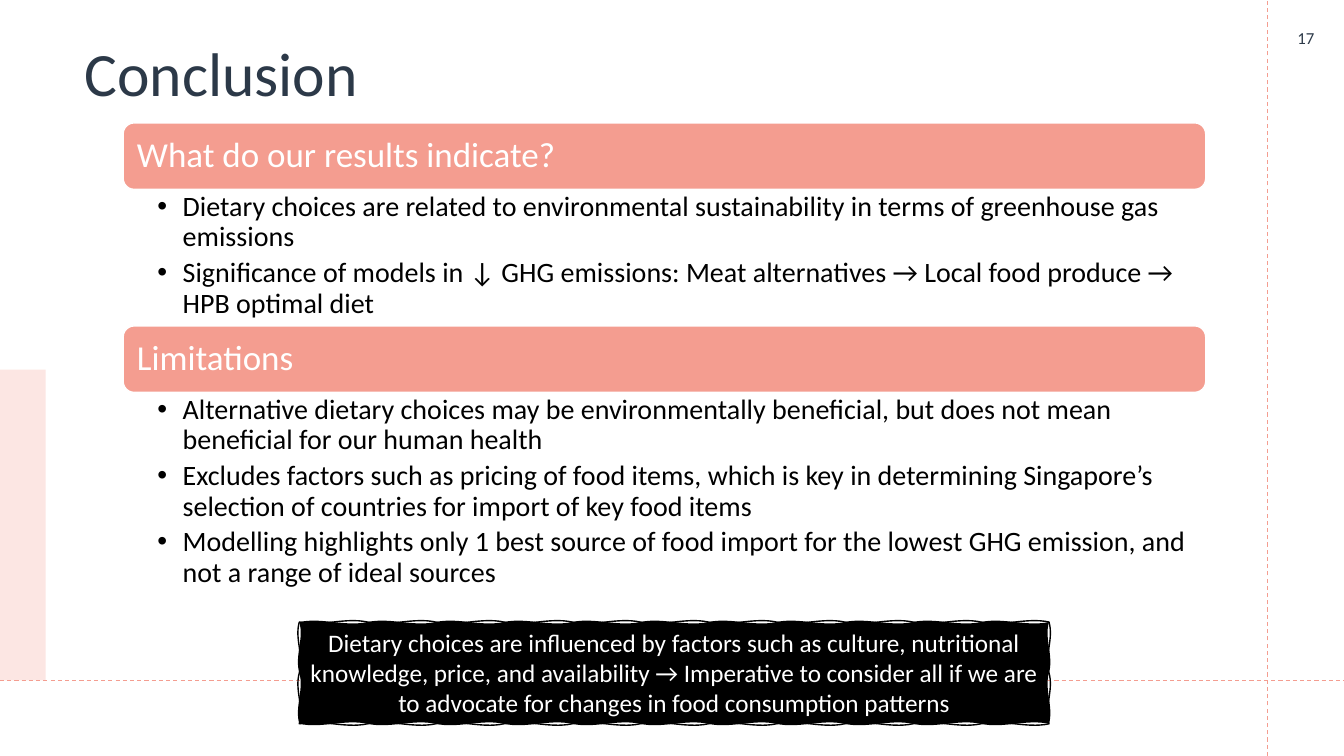
from dataclasses import dataclass

from lxml import etree
from pptx import Presentation
from pptx.dml.color import RGBColor
from pptx.enum.dml import MSO_LINE
from pptx.enum.shapes import MSO_CONNECTOR, MSO_SHAPE
from pptx.enum.text import MSO_ANCHOR, MSO_AUTO_SIZE, PP_ALIGN
from pptx.oxml.ns import qn
from pptx.util import Pt

DASH = MSO_LINE.DASH
STRAIGHT = MSO_CONNECTOR.STRAIGHT
RECTANGLE, ROUNDED = MSO_SHAPE.RECTANGLE, MSO_SHAPE.ROUNDED_RECTANGLE
TOP, MIDDLE = MSO_ANCHOR.TOP, MSO_ANCHOR.MIDDLE
LEFT, CENTER = PP_ALIGN.LEFT, PP_ALIGN.CENTER
NO_FIT = MSO_AUTO_SIZE.NONE


@dataclass(frozen=True)
class Theme:
    font: str = "Calibri"
    coral: RGBColor = RGBColor(0xF4, 0x9D, 0x90)
    navy: RGBColor = RGBColor(0x2C, 0x39, 0x48)
    black: RGBColor = RGBColor(0, 0, 0)
    white: RGBColor = RGBColor(0xFF, 0xFF, 0xFF)
    title_size: int = 44
    heading_size: int = 25
    list_size: int = 20
    callout_size: int = 18
    number_size: int = 12


THEME = Theme()
PAGE_WIDTH, PAGE_HEIGHT = 960, 540
SECTION_LEFT, SECTION_WIDTH, HEADING_HEIGHT = 88, 773.3, 47.5

# White panels behind the content: left, top, width, height
PANELS = [(116.6, 56.2, 843.8, 427), (0, 0, PAGE_WIDTH, PAGE_HEIGHT), (113.8, 54, 846, 432)]

# Heading, top, list height, list entries
SECTIONS = [
    ("What do our results indicate?", 87.8, 97.9, [
        "Dietary choices are related to environmental sustainability in terms of greenhouse gas emissions",
        "Significance of models in ↓ GHG emissions: Meat alternatives → Local food produce → HPB optimal diet",
    ]),
    ("Limitations", 232.8, 146.9, [
        "Alternative dietary choices may be environmentally beneficial, but does not mean beneficial for our human health",
        "Excludes factors such as pricing of food items, which is key in determining Singapore’s selection of countries for import of key food items",
        "Modelling highlights only 1 best source of food import for the lowest GHG emission, and not a range of ideal sources",
    ]),
]
CALLOUT = ("Dietary choices are influenced by factors such as culture, nutritional knowledge, price, "
           "and availability → Imperative to consider all if we are to advocate for changes in food "
           "consumption patterns")


def place(shape, left, top, width, height):
    shape.left, shape.top = Pt(left), Pt(top)
    shape.width, shape.height = Pt(width), Pt(height)


def set_frame(shape, anchor, insets=(7.2, 3.6, 7.2, 3.6)):
    frame = shape.text_frame
    frame.word_wrap = True
    frame.auto_size = NO_FIT
    frame.vertical_anchor = anchor
    (frame.margin_left, frame.margin_top,
     frame.margin_right, frame.margin_bottom) = [Pt(inset) for inset in insets]
    return frame


def style(para, size, color, align=LEFT, spacing=1.0):
    para.alignment = align
    para.line_spacing = spacing
    para.font.name = THEME.font
    para.font.size = Pt(size)
    para.font.color.rgb = color


def add_bullet(para):
    properties = para._p.get_or_add_pPr()
    properties.set("marL", str(Pt(18)))
    properties.set("indent", str(-Pt(18)))
    etree.SubElement(properties, qn("a:buChar")).set("char", "•")


def add_block(page, kind, color, left, top, width, height):
    block = page.shapes.add_shape(kind, Pt(left), Pt(top), Pt(width), Pt(height))
    block.shadow.inherit = False
    block.fill.solid()
    block.fill.fore_color.rgb = color
    block.line.fill.background()
    return block


def add_side_bar(page):
    bar = add_block(page, RECTANGLE, THEME.coral, 0, 264, 32.6, 222)
    color = bar._element.spPr.find(qn("a:solidFill"))[0]
    etree.SubElement(color, qn("a:alpha")).set("val", "25000")


def add_guide(page, x1, y1, x2, y2):
    guide = page.shapes.add_connector(STRAIGHT, Pt(x1), Pt(y1), Pt(x2), Pt(y2))
    guide.line.color.rgb = THEME.coral
    guide.line.width = Pt(0.75)
    guide.line.dash_style = DASH
    etree.SubElement(guide._element.spPr, qn("a:effectLst"))


def add_title(page):
    title = page.shapes.title
    place(title, 53.3, 27.4, 386.6, 208)
    frame = set_frame(title, TOP)
    frame.text = "Conclusion"
    style(frame.paragraphs[0], THEME.title_size, THEME.navy, spacing=0.9)


def add_page_number(page):
    box = page.shapes.add_textbox(Pt(905.8), 0, Pt(54), Pt(54))
    frame = set_frame(box, MIDDLE)
    frame.text = "17"
    style(frame.paragraphs[0], THEME.number_size, THEME.navy, CENTER)


def add_heading(page, text, top):
    heading = add_block(page, ROUNDED, THEME.coral,
                        SECTION_LEFT, top, SECTION_WIDTH, HEADING_HEIGHT)
    heading.line.color.rgb = THEME.white
    heading.line.width = Pt(1)
    frame = set_frame(heading, MIDDLE, (7.6, 7.2, 7.6, 7.2))
    frame.text = text
    style(frame.paragraphs[0], THEME.heading_size, THEME.white, spacing=0.9)


def fill_list(body, entries, top, height):
    place(body, SECTION_LEFT, top, SECTION_WIDTH, height)
    frame = set_frame(body, TOP, (24.5, 2.2, 13.7, 2.2))
    frame.text = "\n".join(entries)
    for para in frame.paragraphs:
        add_bullet(para)
        para.space_before = Pt(0)
        para.space_after = Pt(4)
        style(para, THEME.list_size, THEME.black, spacing=0.9)


def add_wavy_path(paths, width, height, ripple, **options):
    """Trace the box with S-shaped curves, eleven along and two down."""
    outline = etree.SubElement(paths, qn("a:path"), w=str(Pt(width)), h=str(Pt(height)), **options)

    def add_command(name, points):
        command = etree.SubElement(outline, qn(name))
        for x, y in points:
            etree.SubElement(command, qn("a:pt"), x=str(Pt(x)), y=str(Pt(y)))

    corners = [(0, 0), (width, 0), (width, height), (0, height)]
    add_command("a:moveTo", corners[:1])
    for side, (x1, y1) in enumerate(corners):
        x2, y2 = corners[(side + 1) % 4]
        pieces, dx, dy = (2, ripple, 0) if side % 2 else (11, 0, ripple)
        for piece in range(pieces):
            points = []
            for third, sway in ((1, 1), (2, -1), (3, 0)):
                part = (piece + third / 3) / pieces
                points.append((x1 + (x2 - x1) * part + dx * sway,
                               y1 + (y2 - y1) * part + dy * sway))
            add_command("a:cubicBezTo", points)
    etree.SubElement(outline, qn("a:close"))


def add_callout(page):
    left, top, width, height = 213.8, 444.3, 535.5, 72.7
    builder = page.shapes.build_freeform(Pt(left), Pt(top))
    builder.add_line_segments([(Pt(left + width), Pt(top)), (Pt(left + width), Pt(top + height)),
                               (Pt(left), Pt(top + height))])
    box = builder.convert_to_shape()
    box.shadow.inherit = False
    box.fill.solid()
    box.fill.fore_color.rgb = THEME.black
    box.line.color.rgb = THEME.black
    box.line.width = Pt(1)

    # A brushed edge: one stroked outline and one filled outline
    paths = box._element.spPr.find(qn("a:custGeom")).find(qn("a:pathLst"))
    paths.remove(paths[0])
    add_wavy_path(paths, width, height, 3.5, fill="none")
    add_wavy_path(paths, width, height, -3.5, stroke="0")

    frame = set_frame(box, TOP)
    frame.text = CALLOUT
    style(frame.paragraphs[0], THEME.callout_size, THEME.white, CENTER)


def main():
    deck = Presentation()
    deck.slide_width, deck.slide_height = Pt(PAGE_WIDTH), Pt(PAGE_HEIGHT)
    page = deck.slides.add_slide(deck.slide_layouts[3])  # title and two bodies

    # Page decoration
    for panel in PANELS:
        add_block(page, RECTANGLE, THEME.white, *panel)
    add_side_bar(page)
    add_guide(page, 905.4, PAGE_HEIGHT, 905.4, 0)
    add_guide(page, 0, 486, PAGE_WIDTH, 486)

    # Title and lists go in front of the panels
    tree = page.shapes._spTree
    bodies = [page.placeholders[index] for index in (1, 2)]
    for holder in (page.shapes.title, *bodies):
        tree.append(holder._element)
    add_title(page)
    add_page_number(page)

    # Sections: a heading bar above each list
    for body, (heading, top, height, entries) in zip(bodies, SECTIONS):
        add_heading(page, heading, top)
        fill_list(body, entries, top + HEADING_HEIGHT, height)

    # Closing message
    add_callout(page)
    deck.save("out.pptx")


if __name__ == "__main__":
    main()
